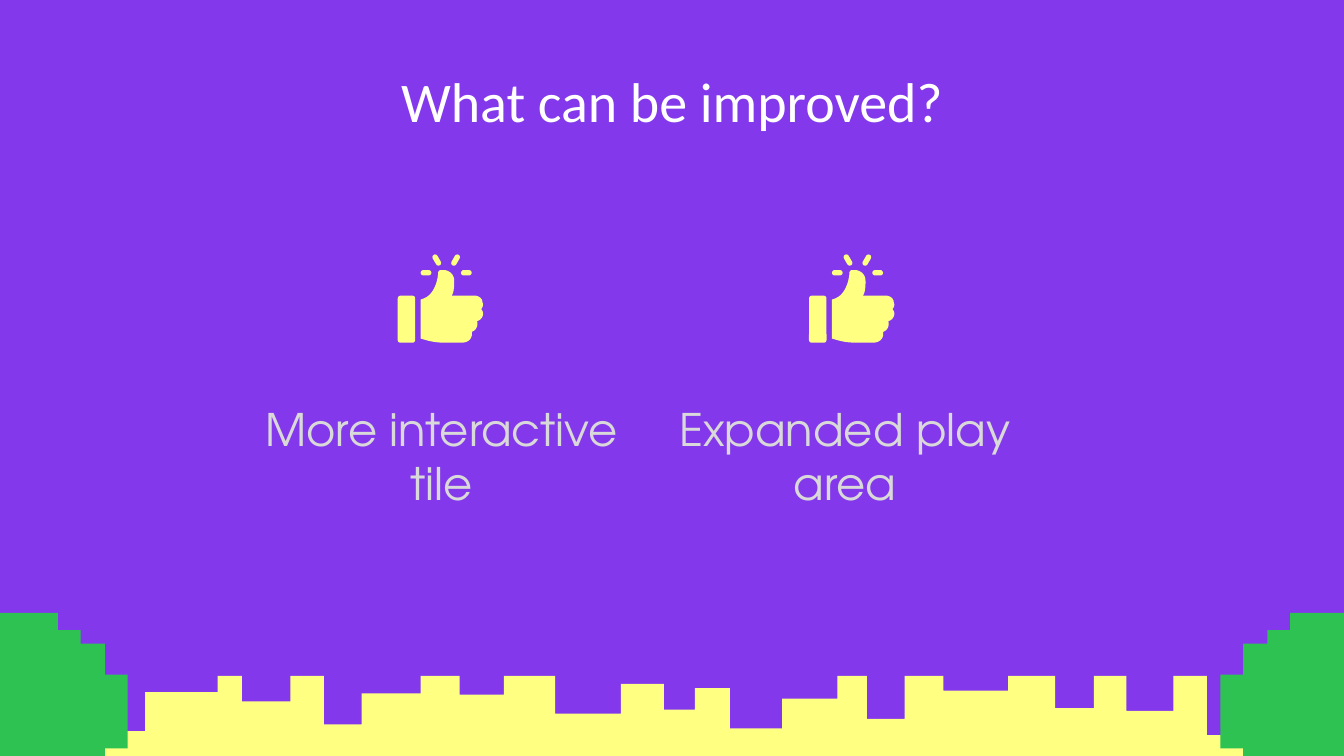
from dataclasses import dataclass

from pptx import Presentation
from pptx.dml.color import RGBColor
from pptx.enum.shapes import MSO_SHAPE
from pptx.enum.text import MSO_ANCHOR, MSO_AUTO_SIZE, PP_ALIGN
from pptx.util import Inches, Pt


@dataclass(frozen=True)
class Theme:
    background: str = "8338EC"
    skyline: str = "FFFF82"
    bush: str = "2DC252"
    icon: str = "FFFF82"
    title: str = "FFFFFF"
    caption: str = "D9D9D9"
    title_font: str = "Calibri"
    caption_font: str = "TeX Gyre Adventor"
    title_size: int = 30
    caption_size: int = 24


THEME = Theme()

SKYLINE_STEPS = [
    (0, 0.17), (0.47, 0), (0.85, 0.41), (1.1, 0.12), (1.64, 0), (1.82, 0.19),
    (2.18, 0), (2.43, 0.36), (2.71, 0.13), (3.15, 0), (3.44, 0.14), (3.77, 0),
    (4.15, 0.28), (4.64, 0.06), (4.96, 0.25), (5.19, 0.09), (5.45, 0.39),
    (5.84, 0.17), (6.25, 0), (6.47, 0.32), (6.75, 0), (7.04, 0.11), (7.52, 0),
    (7.87, 0.24), (8.16, 0), (8.4, 0.26), (8.75, 0), (9, 0.44), (9.31, 0.17),
    (9.67, 0), (9.89, 0.27), (10.02, 0),
]
BUSH_STEPS = [
    (0.52, 0), (0.52, 0.13), (0.35, 0.13), (0.35, 0.23), (0.17, 0.23), (0.17, 0.46),
    (0, 0.46), (0, 1.01), (0.17, 1.01), (0.17, 1.35), (0.35, 1.35), (0.35, 1.47),
]
HAND_START = (0.32, 0.12)
HAND_SEGMENTS = [
    [(0.31, 0.12), (0.3, 0.13), (0.3, 0.14)],
    [(0.3, 0.18), (0.28, 0.26), (0.24, 0.3)],
    [(0.22, 0.32), (0.2, 0.33), (0.17, 0.34)],
    [(0.17, 0.63)],
    [(0.21, 0.64), (0.26, 0.66), (0.34, 0.66)],
    [(0.48, 0.66)],
    [(0.53, 0.66), (0.56, 0.62), (0.55, 0.58)],
    [(0.58, 0.57), (0.6, 0.54), (0.59, 0.5)],
    [(0.63, 0.49), (0.65, 0.44), (0.62, 0.41)],
    [(0.63, 0.4), (0.64, 0.38), (0.63, 0.36)],
    [(0.63, 0.33), (0.6, 0.31), (0.57, 0.31)],
    [(0.4, 0.31)],
    [(0.42, 0.29), (0.42, 0.22), (0.42, 0.2)],
    [(0.42, 0.15), (0.38, 0.12), (0.34, 0.12)],
]


def paint(shape, color):
    shape.fill.solid()
    shape.fill.fore_color.rgb = RGBColor.from_string(color)
    shape.line.fill.background()
    shape.shadow.inherit = False


def add_outline(shapes, left, top, points, color):
    placed = [(Inches(left + x), Inches(top + y)) for x, y in points]
    builder = shapes.build_freeform(*placed[0], scale=1.0)
    builder.add_line_segments(placed[1:], close=True)
    paint(builder.convert_to_shape(), color)


def add_pill(shapes, left, top, width, height, color, roundness=0.5, rotation=0):
    shape = shapes.add_shape(MSO_SHAPE.ROUNDED_RECTANGLE, Inches(left), Inches(top),
                             Inches(width), Inches(height))
    shape.adjustments[0] = roundness
    shape.rotation = rotation
    paint(shape, color)


def curve_points(start, segments, steps=8):
    points = [start]
    for segment in segments:
        if len(segment) == 1:
            points.append(segment[0])
            continue
        controls = [points[-1], *segment]
        for step in range(1, steps + 1):
            t = step / steps
            weights = ((1 - t) ** 3, 3 * t * (1 - t) ** 2, 3 * t * t * (1 - t), t ** 3)
            points.append(tuple(sum(weight * control[axis]
                                    for weight, control in zip(weights, controls))
                                for axis in (0, 1)))
    return points


def write_text(shape, text, *, size, font, color, anchor=MSO_ANCHOR.TOP, indent=0):
    frame = shape.text_frame
    frame.word_wrap = True
    frame.auto_size = MSO_AUTO_SIZE.NONE
    frame.vertical_anchor = anchor
    frame.margin_left = frame.margin_right = frame.margin_top = frame.margin_bottom = 0
    paragraph = frame.paragraphs[0]
    paragraph.alignment = PP_ALIGN.CENTER
    if indent:
        properties = paragraph._p.get_or_add_pPr()
        properties.set("marL", str(Inches(indent)))
        properties.set("indent", "0")
    run = paragraph.add_run()
    run.text = text
    run.font.size = Pt(size)
    run.font.name = font
    run.font.color.rgb = RGBColor.from_string(color)


def add_skyline(slide, left, top, width, height):
    points = [(0, height)]
    for start, depth in SKYLINE_STEPS:
        points += [(start, points[-1][1]), (start, depth)]
    points += [(width, points[-1][1]), (width, height)]
    add_outline(slide.shapes, left, top, points[1:], THEME.skyline)


def add_bush(slide, left, top, width):
    mirrored = [(width - x, y) for x, y in reversed(BUSH_STEPS)]
    add_outline(slide.shapes, left, top, BUSH_STEPS + mirrored, THEME.bush)


def add_title(slide, left, top, width, height):
    title = slide.shapes.title
    title.left, title.top = Inches(left), Inches(top)
    title.width, title.height = Inches(width), Inches(height)
    write_text(title, "What can be improved?", size=THEME.title_size,
               font=THEME.title_font, color=THEME.title, anchor=MSO_ANCHOR.MIDDLE)


def add_thumbs_up(slide, left, top):
    shapes = slide.shapes.add_group_shape().shapes
    for dash_left in (0.17, 0.47):
        add_pill(shapes, left + dash_left, top + 0.12, 0.08, 0.04, THEME.icon)
    for ray_left, rotation in ((0.27, -30), (0.41, 30)):
        add_pill(shapes, left + ray_left, top, 0.04, 0.09, THEME.icon, rotation=rotation)
    add_pill(shapes, left, top + 0.31, 0.13, 0.35, THEME.icon, roundness=0.15)
    add_outline(shapes, left, top, curve_points(HAND_START, HAND_SEGMENTS), THEME.icon)


def add_caption(slide, text, left, top, width, height, indent=0):
    box = slide.shapes.add_textbox(Inches(left), Inches(top), Inches(width), Inches(height))
    write_text(box, text, size=THEME.caption_size, font=THEME.caption_font,
               color=THEME.caption, indent=indent)


def main():
    presentation = Presentation()
    presentation.slide_width = Inches(10)
    presentation.slide_height = Inches(10) * 9 // 16
    slide = presentation.slides.add_slide(presentation.slide_layouts[5])
    slide.background.fill.solid()
    slide.background.fill.fore_color.rgb = RGBColor.from_string(THEME.background)

    add_skyline(slide, -0.02, 5.03, 10.09, 3.3)
    for bush_left in (9.08, -0.73):
        add_bush(slide, bush_left, 4.56, 1.68)
    add_title(slide, 0.78, 0.49, 8.44, 0.51)
    add_caption(slide, "More interactive tile", 1.79, 2.99, 2.99, 1.36)
    add_caption(slide, "Expanded play area", 4.54, 2.99, 2.99, 1, indent=0.5)
    for icon_left in (2.96, 6.02):
        add_thumbs_up(slide, icon_left, 1.89)

    presentation.save("out.pptx")


if __name__ == "__main__":
    main()
